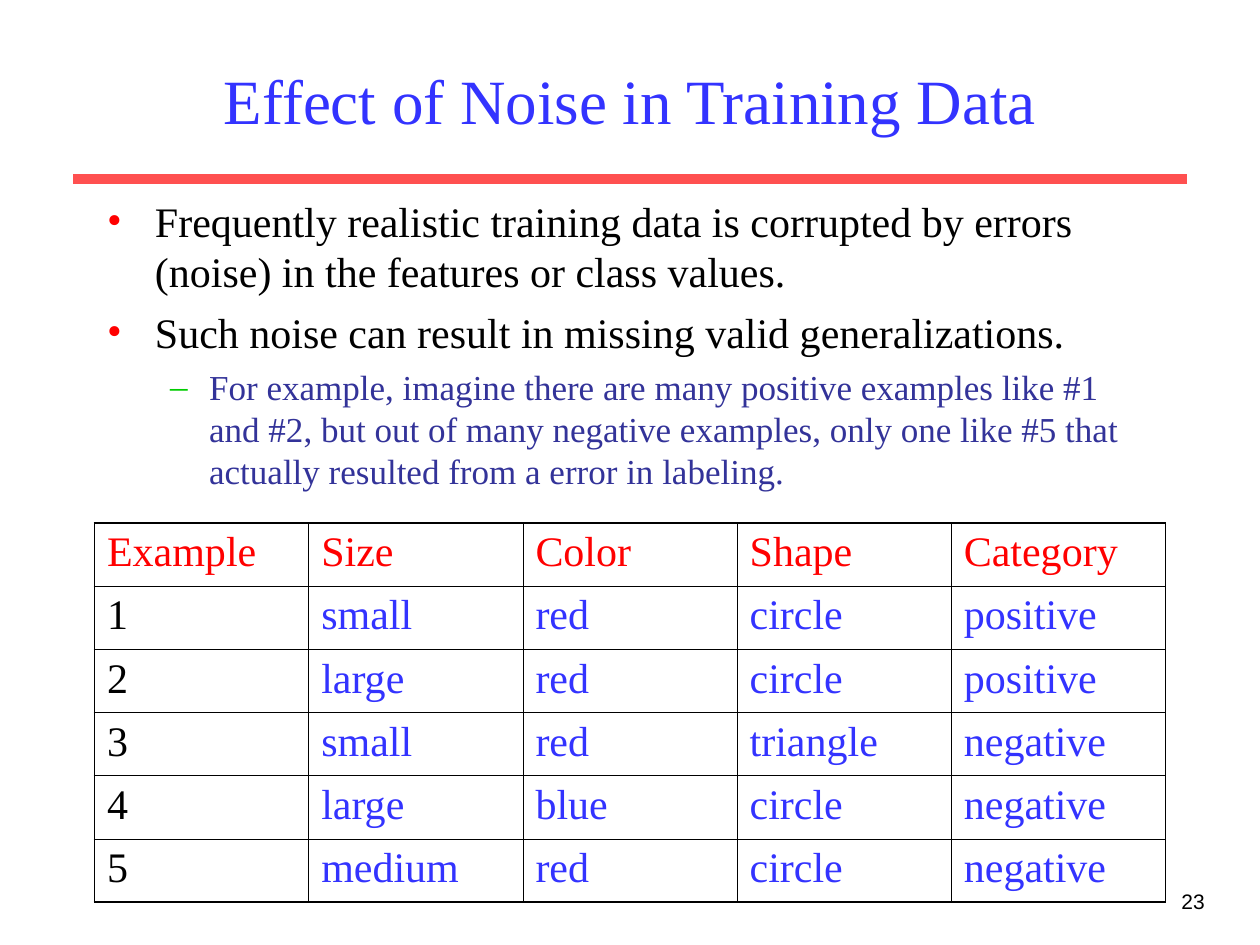
import pptx
import pptx.dml.color
import pptx.enum.shapes
import pptx.enum.text
import pptx.oxml.ns
import pptx.util
from lxml import etree
from pptx.util import Inches

RGBColor = pptx.dml.color.RGBColor
BLUE = RGBColor(0x33, 0x33, 0xFF)
NAVY = RGBColor(0x33, 0x33, 0x99)
RED = RGBColor(0xFF, 0x00, 0x00)
CORAL = RGBColor(0xFF, 0x50, 0x50)
GREEN = RGBColor(0x00, 0xCC, 0x00)
BLACK = RGBColor(0x00, 0x00, 0x00)
SERIF = "Times New Roman"
THIN, THICK = 0.45, 1.08

qn = pptx.oxml.ns.qn
PP_ALIGN = pptx.enum.text.PP_ALIGN
MSO_ANCHOR = pptx.enum.text.MSO_ANCHOR


def format_runs(paragraph, size, color, font=SERIF):
    for run in paragraph.runs:
        run.font.name = font
        run.font.size = pptx.util.Pt(size)
        run.font.bold = False
        run.font.color.rgb = color


def add_solid_color(parent, tag, color):
    """Add a child element that holds an RGB colour."""
    holder = etree.SubElement(parent, qn(tag))
    etree.SubElement(holder, qn("a:srgbClr"), val=str(color))


presentation = pptx.Presentation()
presentation.slide_width = Inches(10)
presentation.slide_height = Inches(7.5)
slide = presentation.slides.add_slide(presentation.slide_layouts[1])

# Rule under the title
rule = slide.shapes.add_connector(
    pptx.enum.shapes.MSO_CONNECTOR.STRAIGHT,
    Inches(0.58), Inches(1.42), Inches(9.42), Inches(1.42))
rule.line.color.rgb = CORAL
rule.line.width = pptx.util.Pt(6)
etree.SubElement(rule._element.spPr, qn("a:effectLst"))

# Slide number
number = slide.shapes.add_textbox(Inches(7.58), Inches(7), Inches(2.08), Inches(0.5))
number.text_frame.word_wrap = True
number.text_frame.text = "23"
number.text_frame.paragraphs[0].alignment = PP_ALIGN.RIGHT
format_runs(number.text_frame.paragraphs[0], 12, BLACK, "Arial")

# Title
title = slide.shapes.title
title.left, title.top = Inches(0.75), Inches(0.25)
title.width, title.height = Inches(8.5), Inches(1.08)
title.text_frame.text = "Effect of Noise in Training Data"
title.text_frame.auto_size = pptx.enum.text.MSO_AUTO_SIZE.NONE
title.text_frame.vertical_anchor = MSO_ANCHOR.MIDDLE
title.text_frame.paragraphs[0].alignment = PP_ALIGN.CENTER
format_runs(title.text_frame.paragraphs[0], 36, BLUE)

# Bulleted list
points = [
    (0, "Frequently realistic training data is corrupted by errors (noise) "
        "in the features or class values."),
    (0, "Such noise can result in missing valid generalizations."),
    (1, "For example, imagine there are many positive examples like #1 and #2, "
        "but out of many negative examples, only one like #5 that actually "
        "resulted from a error in labeling."),
]
# Per level: size, text colour, space before, margin, indent, bullet, bullet colour
level_styles = [
    (24, BLACK, 6, 0.38, -0.38, "•", RED),
    (20, NAVY, 5, 0.81, -0.31, "–", GREEN),
]
body = slide.placeholders[1]
body.left, body.top = Inches(0.75), Inches(1.5)
body.width, body.height = Inches(8.5), Inches(2.48)
body.text_frame.text = "\n".join(text for level, text in points)
body.text_frame.auto_size = pptx.enum.text.MSO_AUTO_SIZE.NONE
for paragraph, (level, text) in zip(body.text_frame.paragraphs, points):
    size, color, space, margin, indent, bullet, bullet_color = level_styles[level]
    paragraph.level = level
    paragraph.space_before = pptx.util.Pt(space)
    format_runs(paragraph, size, color)
    properties = paragraph._p.get_or_add_pPr()
    properties.set("marL", str(Inches(margin)))
    properties.set("indent", str(Inches(indent)))
    add_solid_color(properties, "a:buClr", bullet_color)
    etree.SubElement(properties, qn("a:buFont"), typeface=SERIF)
    etree.SubElement(properties, qn("a:buChar"), char=bullet)

# Table of training examples
examples = [
    ("Example", "Size", "Color", "Shape", "Category"),
    ("1", "small", "red", "circle", "positive"),
    ("2", "large", "red", "circle", "positive"),
    ("3", "small", "red", "triangle", "negative"),
    ("4", "large", "blue", "circle", "negative"),
    ("5", "medium", "red", "circle", "negative"),
]
last_row, last_column = len(examples) - 1, len(examples[0]) - 1
table = slide.shapes.add_table(
    len(examples), len(examples[0]),
    Inches(0.75), Inches(4.15), Inches(8.5), Inches(3.01)).table
table.first_row = False
table.horz_banding = False

for row, values in enumerate(examples):
    for column, value in enumerate(values):
        cell = table.cell(row, column)
        cell.text_frame.text = value
        paragraph = cell.text_frame.paragraphs[0]
        paragraph.space_before = pptx.util.Pt(6)
        color = RED if row == 0 else BLACK if column == 0 else BLUE
        format_runs(paragraph, 24, color)

        # Borders are thick on the outer edge; they precede the fill
        outer_edges = {
            "a:lnL": column == 0,
            "a:lnR": column == last_column,
            "a:lnT": row == 0,
            "a:lnB": row == last_row,
        }
        properties = cell._tc.get_or_add_tcPr()
        for tag, is_outer in outer_edges.items():
            width = pptx.util.Pt(THICK if is_outer else THIN)
            border = etree.SubElement(properties, qn(tag), w=str(width))
            add_solid_color(border, "a:solidFill", BLACK)
        cell.fill.background()

presentation.save("out.pptx")
